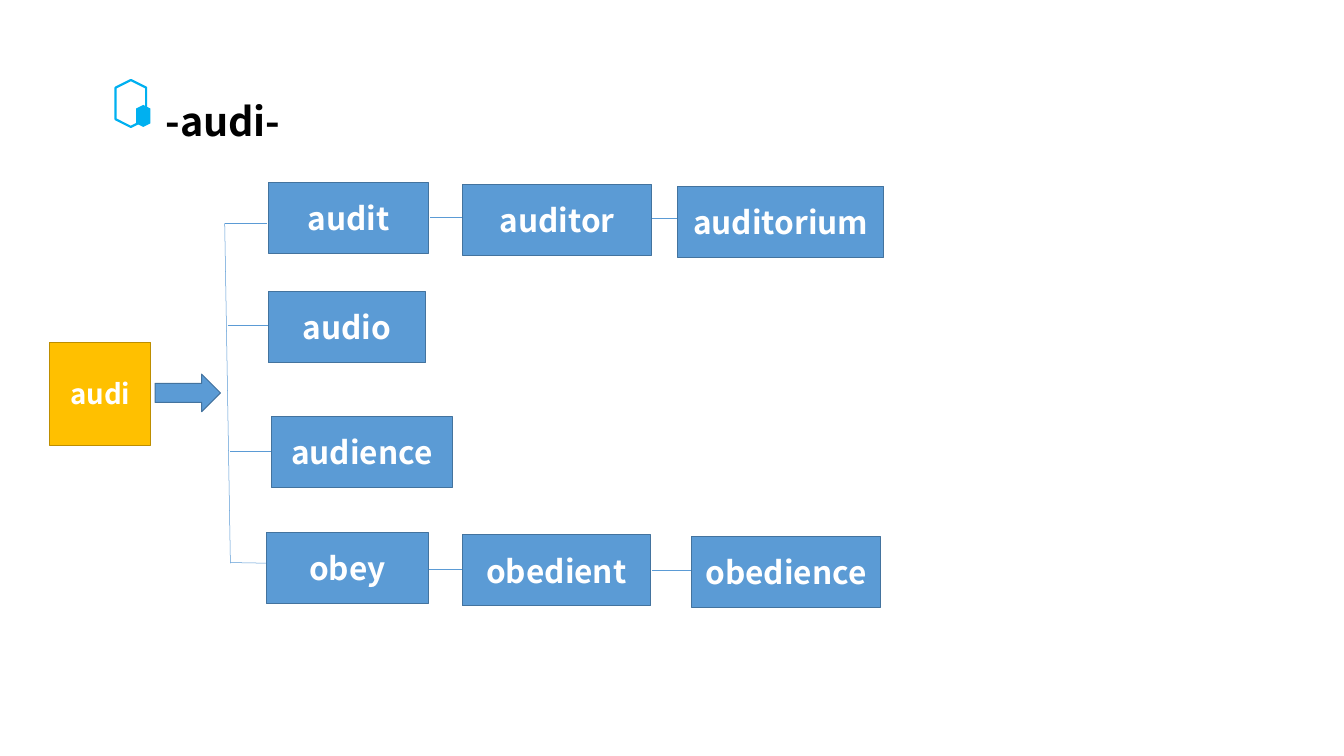
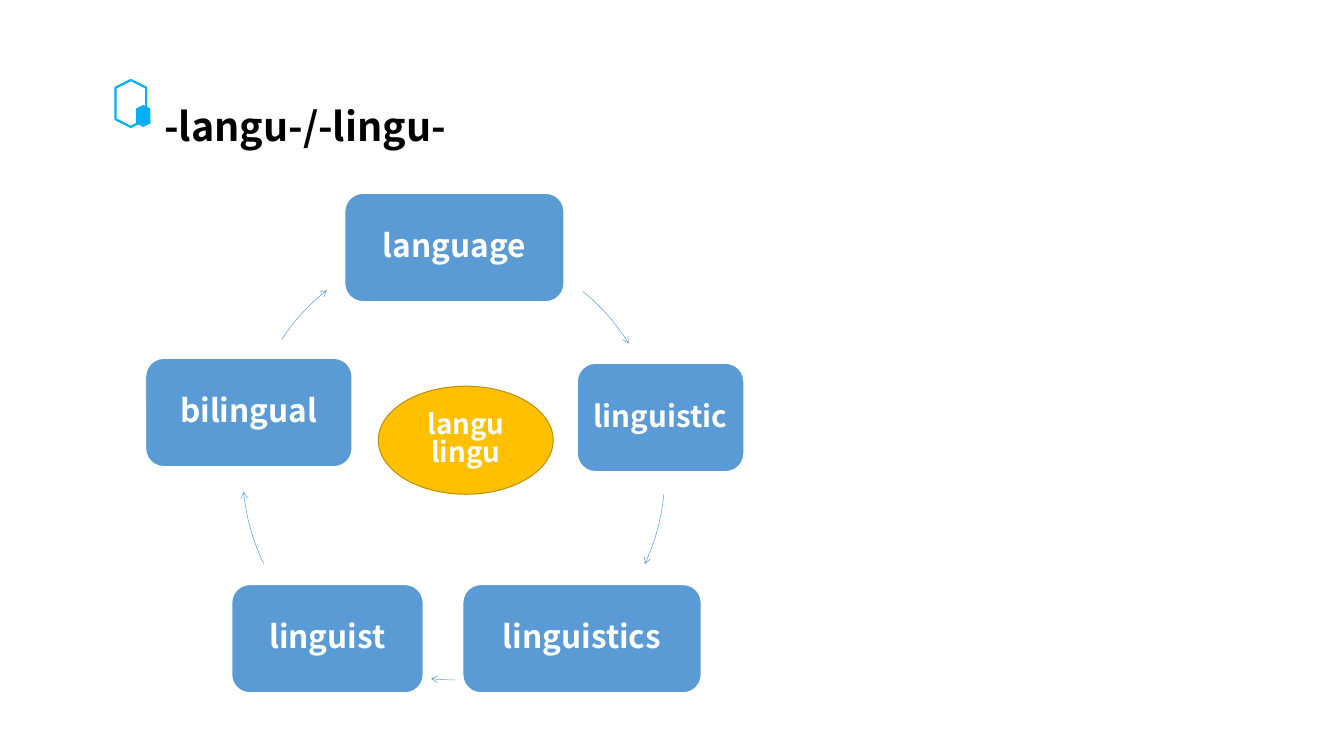
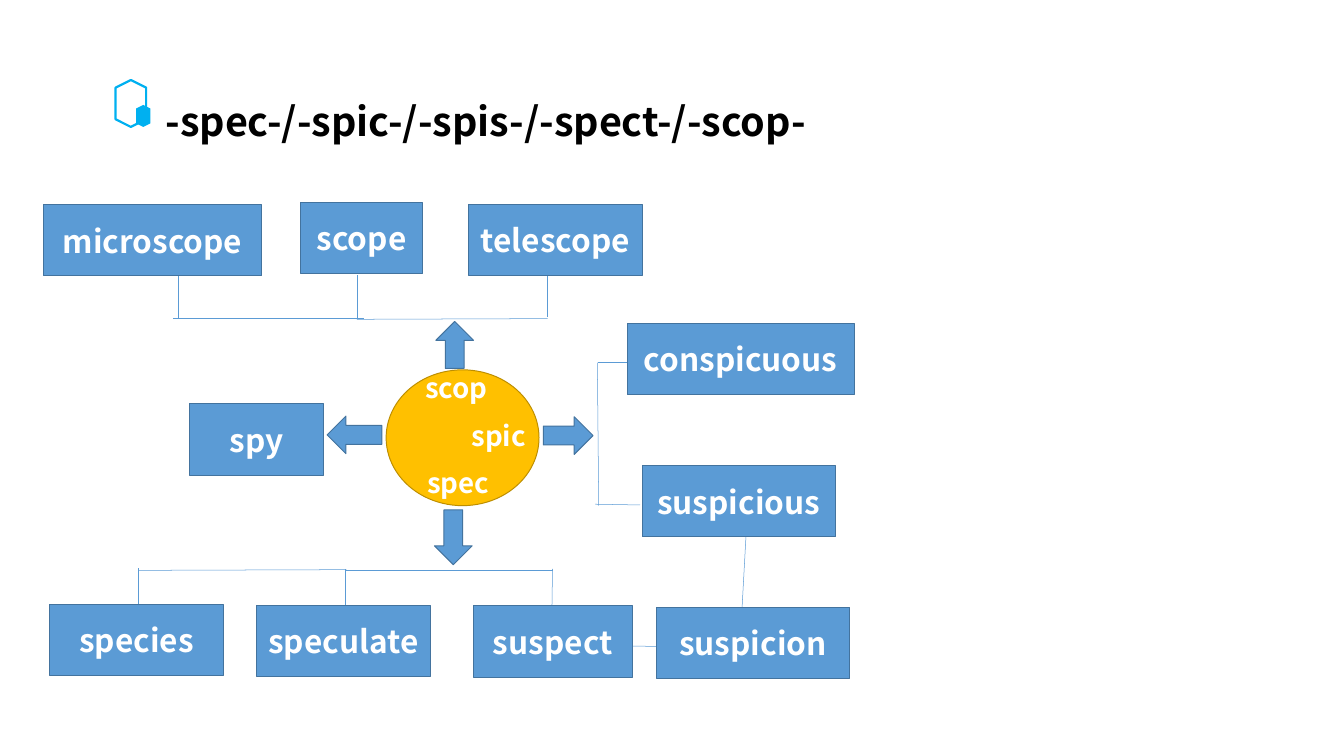
"""Build three slides of word-root maps."""
from lxml.etree import SubElement as add_tag
from pptx import Presentation as Deck
from pptx.dml.color import RGBColor as Rgb
from pptx.enum.shapes import MSO_CONNECTOR as Link, MSO_SHAPE as Kind
from pptx.enum.text import MSO_ANCHOR as Anchor, PP_ALIGN as Align
from pptx.oxml.ns import qn
from pptx.util import Inches, Pt

FONT = "Noto Sans CJK SC"
BLUE, EDGE = "5B9BD5", "43739E"
GOLD, RIM = "FFC000", "BD8E00"
CYAN, WHITE, BLACK = "00B0F0", "FFFFFF", "000000"
THIN = 0.5
RING = 6.08


def paint(form, tint):
    """Set a fill or font colour from a hex string."""
    if hasattr(form, "solid"):
        form.solid()
        form = form.fore_color
    else:
        form = form.color
    form.rgb = Rgb.from_string(tint)


def stroke(line, tint, width):
    """Set the colour and width of a line."""
    line.color.rgb = Rgb.from_string(tint)
    line.width = Pt(width)


def write(frame, text, size, tint=WHITE, align=Align.CENTER, space=None):
    """Fill a text frame with bold text."""
    frame.text = text
    for para in frame.paragraphs:
        para.alignment = align
        para.line_spacing = space
        for run in para.runs:
            run.font.name = FONT
            run.font.size = Pt(size)
            run.font.bold = True
            paint(run.font, tint)


def block(slide, kind, box, fill=BLUE, edge=EDGE, width=1):
    """Add a preset shape; None leaves out its fill or edge."""
    shape = slide.shapes.add_shape(kind, *map(Inches, box))
    shape.shadow.inherit = False
    if fill:
        paint(shape.fill, fill)
    else:
        shape.fill.background()
    if edge:
        stroke(shape.line, edge, width)
    else:
        shape.line.fill.background()
    return shape


def node(slide, text, box, kind=Kind.RECTANGLE, fill=BLUE, edge=EDGE,
         size=32, space=None):
    """Add a shape with a centred word."""
    shape = block(slide, kind, box, fill, edge)
    shape.text_frame.vertical_anchor = Anchor.MIDDLE
    write(shape.text_frame, text, size, space=space)


def words(slide, items):
    """Add word boxes of one height from text, left, top and width."""
    for text, left, top, width in items:
        node(slide, text, (left, top, width, 1))


def label(slide, text, box, size, tint=WHITE, wrap=True):
    """Add free text at the left of its box."""
    frame = slide.shapes.add_textbox(*map(Inches, box)).text_frame
    frame.word_wrap = wrap
    write(frame, text, size, tint, Align.LEFT)


def wires(slide, ends):
    """Add thin straight lines."""
    for end in ends:
        line = slide.shapes.add_connector(Link.STRAIGHT, *map(Inches, end))
        stroke(line.line, BLUE, THIN)
        add_tag(line.element.spPr, qn("a:effectLst"))


def curve(slide, left, top, start, stop):
    """Add a piece of a ring, clockwise, with an arrowhead."""
    arc = block(slide, Kind.ARC, (left, top, RING, RING), None, BLUE, THIN)
    for spot, angle in enumerate((start, stop)):
        arc.adjustments[spot] = angle * 0.6
    edge = arc.element.spPr.find(qn("a:ln"))
    add_tag(edge, qn("a:tailEnd"), type="arrow")


def page(deck, title, left, top, width):
    """Add a slide with its hexagon mark and title."""
    slide = deck.slides.add_slide(deck.slide_layouts[6])
    for box, fill, edge in (((1.51, 1.24, 0.66, 0.43), None, CYAN),
                            ((1.86, 1.53, 0.31, 0.2), CYAN, None)):
        block(slide, Kind.HEXAGON, box, fill, edge, 2.25).rotation = 90
    label(slide, title, (left, top, width, 0.77), 40, BLACK, False)
    return slide


def audi(deck):
    """Draw the tree of audi."""
    slide = page(deck, "-audi-", 2.23, 1.32, 2.09)
    wires(slide, [
        (3.16, 3.14, 3.24, 7.92),
        (3.16, 3.14, 3.76, 3.14),
        (3.2, 4.58, 3.89, 4.58),
        (3.24, 6.35, 3.94, 6.35),
        (3.24, 7.91, 3.8, 7.92),
        (6.05, 3.05, 6.65, 3.05),
        (9.07, 3.07, 9.67, 3.07),
        (5.94, 8, 6.53, 8),
        (9.17, 8.02, 9.77, 8.02),
    ])
    words(slide, [
        ("audit", 3.78, 2.56, 2.24),
        ("auditor", 6.51, 2.59, 2.65),
        ("auditorium", 9.53, 2.62, 2.9),
        ("audio", 3.77, 4.1, 2.22),
        ("audience", 3.82, 5.86, 2.54),
        ("obey", 3.75, 7.49, 2.27),
        ("obedient", 6.5, 7.52, 2.65),
        ("obedience", 9.73, 7.54, 2.65),
    ])
    node(slide, "audi", (0.7, 4.81, 1.42, 1.45), fill=GOLD, edge=RIM, size=28)
    block(slide, Kind.RIGHT_ARROW, (2.18, 5.26, 0.92, 0.53))


def langu(deck):
    """Draw the ring of langu and lingu."""
    slide = page(deck, "-langu-/-lingu-", 2.21, 1.39, 4.64)
    for text, left, top, width, size in (
            ("language", 4.85, 2.72, 3.08, 32),
            ("linguistic", 8.12, 5.11, 2.34, 30),
            ("linguistics", 6.51, 8.22, 3.35, 32),
            ("linguist", 3.26, 8.22, 2.69, 32),
            ("bilingual", 2.05, 5.04, 2.9, 32)):
        node(slide, text, (left, top, width, 1.52), Kind.ROUNDED_RECTANGLE,
             edge=WHITE, size=size, space=0.9)
    for bend in ((3.23, 3.41, 309.3, 327.8),
                 (3.27, 3.61, 5.8, 24.9),
                 (3.35, 3.48, 89.8, 96.2),
                 (3.41, 3.57, 154.4, 174.3),
                 (3.45, 3.42, 213.9, 231.5)):
        curve(slide, *bend)
    node(slide, "langu\nlingu", (5.32, 5.43, 2.46, 1.52),
         Kind.FLOWCHART_CONNECTOR, GOLD, RIM, 28, 0.82)


def scope(deck):
    """Draw the map of spec, spic and scop."""
    slide = page(deck, "-spec-/-spic-/-spis-/-spect-/-scop-",
                 2.23, 1.32, 10.13)
    wires(slide, [
        (2.44, 4.48, 5.12, 4.48),
        (5.02, 4.49, 7.7, 4.48),
        (2.51, 4.48, 2.51, 3.86),
        (5.02, 4.49, 5.02, 3.87),
        (7.69, 4.46, 7.69, 3.85),
        (8.4, 5.1, 8.42, 7.11),
        (8.41, 5.1, 8.89, 5.1),
        (8.37, 7.09, 9, 7.1),
        (10.49, 7.55, 10.42, 8.83),
        (8.64, 9.08, 9.27, 9.09),
        (1.95, 8.02, 4.87, 8.01),
        (4.85, 8.02, 7.77, 8.02),
        (1.95, 8.5, 1.95, 7.98),
        (4.85, 8.51, 4.85, 8),
        (7.76, 8.68, 7.77, 8),
    ])
    words(slide, [
        ("microscope", 0.61, 2.88, 3.07),
        ("scope", 4.23, 2.85, 1.71),
        ("telescope", 6.59, 2.87, 2.44),
        ("spy", 2.67, 5.68, 1.88),
        ("conspicuous", 8.82, 4.55, 3.19),
        ("suspicious", 9.03, 6.55, 2.72),
        ("species", 0.7, 8.5, 2.44),
        ("speculate", 3.61, 8.51, 2.44),
        ("suspect", 6.66, 8.52, 2.23),
        ("suspicion", 9.23, 8.54, 2.72),
    ])
    block(slide, Kind.FLOWCHART_CONNECTOR, (5.43, 5.2, 2.15, 1.91), GOLD, RIM)
    for kind, box in ((Kind.UP_ARROW, (6.13, 4.52, 0.53, 0.66)),
                      (Kind.RIGHT_ARROW, (7.64, 5.86, 0.7, 0.53)),
                      (Kind.DOWN_ARROW, (6.11, 7.17, 0.53, 0.77)),
                      (Kind.LEFT_ARROW, (4.6, 5.85, 0.77, 0.53))):
        block(slide, kind, box)
    for text, left, top in (("scop", 5.88, 5.17),
                            ("spic", 6.53, 5.84),
                            ("spec", 5.91, 6.5)):
        label(slide, text, (left, top, 1.39, 0.57), 28)


def main():
    """Build and save the deck."""
    deck = Deck()
    deck.slide_width, deck.slide_height = Inches(18.9), Inches(10.63)
    for draw in (audi, langu, scope):
        draw(deck)
    deck.save("out.pptx")


if __name__ == "__main__":
    main()
